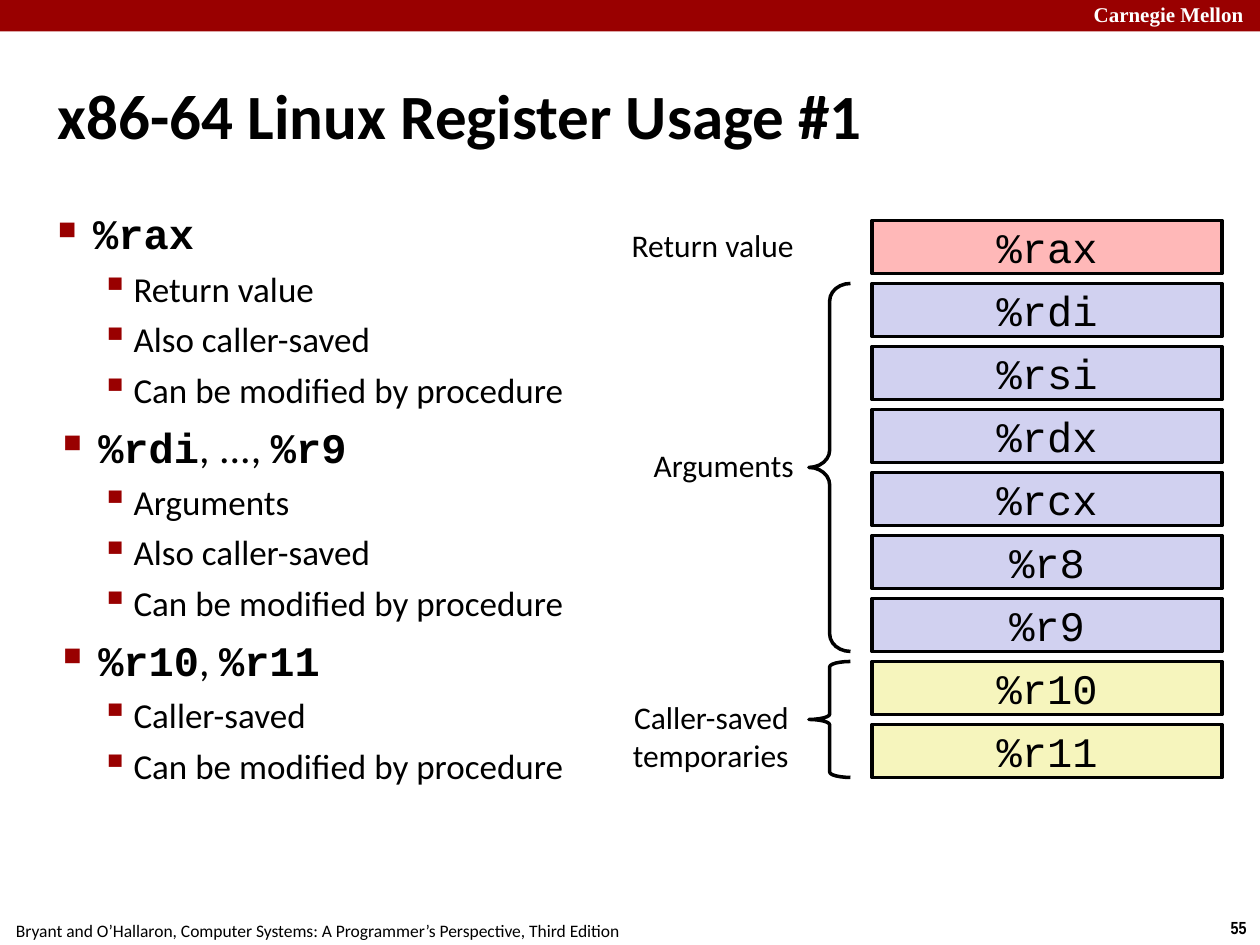
from typing import NamedTuple

import pptx
import pptx.dml.color
import pptx.enum.shapes
import pptx.enum.text
import pptx.oxml
import pptx.oxml.ns
import pptx.util

Inches, Pt = pptx.util.Inches, pptx.util.Pt
Align, Anchor = pptx.enum.text.PP_ALIGN, pptx.enum.text.MSO_ANCHOR
Size, Kind = pptx.enum.text.MSO_AUTO_SIZE, pptx.enum.shapes.MSO_SHAPE

HUES = {
    "black": "000000", "white": "FFFFFF", "red": "990000",
    "return": "FFB8B8", "args": "D1D1F0", "temps": "F6F5BD",
}
SANS, MONO = "Calibri", "Courier New"
TOP, STEP, TALL = 1.75, 0.5, 0.42


class Label(NamedTuple):
    text: str
    box: tuple
    size: int = 18
    face: str = SANS
    hue: str = "black"
    bold: bool = False
    align: Align = Align.RIGHT
    inset: tuple = (0.04, 0.04)
    wrap: bool = False


class Brace(NamedTuple):
    first: int
    last: int
    bend: float


class Level(NamedTuple):
    left: float
    hang: float
    space: int
    size: int
    mark: str
    scale: int


class Topic(NamedTuple):
    names: list
    points: list
    level: Level


POINT = Level(0.6, 0.26, 5, 20, "▪", 110)
HEAD = Level(0.32, 0.28, 6, 24, "■", 60)

TOPICS = [
    Topic(["%rax"],
          ["Return value", "Also caller-saved", "Can be modified by procedure"],
          HEAD._replace(left=0.28, space=0)),
    Topic(["%rdi", ", ..., ", "%r9"],
          ["Arguments", "Also caller-saved", "Can be modified by procedure"], HEAD),
    Topic(["%r10", ", ", "%r11"],
          ["Caller-saved", "Can be modified by procedure"], HEAD),
]
GROUPS = {
    "return": ["%rax"],
    "args": ["%rdi", "%rsi", "%rdx", "%rcx", "%r8", "%r9"],
    "temps": ["%r10", "%r11"],
}
BRACES = [Brace(1, 6, 0.42), Brace(7, 8, 0.13)]
FRAME = [
    Label("55", (9.66, 7.23, 0.34, 0.27), 10, "Arial Narrow", bold=True,
          align=Align.CENTER, inset=(0.1, 0.05)),
    Label("Bryant and O’Hallaron, Computer Systems: A Programmer’s Perspective, "
          "Third Edition", (-0.02, 7.25, 5.08, 0.27), 10,
          align=Align.CENTER, inset=(0.1, 0.05)),
    Label("Carnegie Mellon", (8.64, -0.03, 1.44, 0.28), 12, "Times New Roman",
          "white", True, Align.LEFT, wrap=True),
]
NOTES = [
    Label("Return value", (4.95, 1.75, 1.39, 0.39)),
    Label("Arguments", (5.13, 3.5, 1.21, 0.39)),
    Label("Caller-saved\ntemporaries", (4.91, 5.5, 1.39, 0.69)),
]


def color(name: str):
    return pptx.dml.color.RGBColor.from_string(HUES[name])


def style(run, size: int, face: str = SANS, hue: str = "black", bold: bool = False):
    run.font.size, run.font.name, run.font.bold = Pt(size), face, bold
    run.font.color.rgb = color(hue)


def pad(frame, side: float, top: float):
    frame.margin_left = frame.margin_right = Inches(side)
    frame.margin_top = frame.margin_bottom = Inches(top)


def add_label(slide, label: Label):
    frame = slide.shapes.add_textbox(*map(Inches, label.box)).text_frame
    frame.text = label.text
    frame.word_wrap = label.wrap
    pad(frame, *label.inset)
    for para in frame.paragraphs:
        para.alignment = label.align
        style(para.runs[0], label.size, label.face, label.hue, label.bold)


def add_shape(slide, kind: Kind, box: tuple, fill: str = "", line: bool = True):
    shape = slide.shapes.add_shape(kind, *map(Inches, box))
    shape.shadow.inherit = False
    if fill:
        shape.fill.solid()
        shape.fill.fore_color.rgb = color(fill)
    else:
        shape.fill.background()
    if line:
        shape.line.color.rgb = color("black")
        shape.line.width = Pt(2)
    else:
        shape.line.fill.background()
    return shape


def add_cell(slide, row: int, name: str, fill: str):
    box = (6.92, TOP + row * STEP, 2.78, TALL)
    frame = add_shape(slide, Kind.RECTANGLE, box, fill).text_frame
    frame.text = name
    frame.vertical_anchor = Anchor.MIDDLE
    pad(frame, 0, 0)
    frame.paragraphs[0].alignment = Align.CENTER
    style(frame.paragraphs[0].runs[0], 24, MONO)


def add_brace(slide, brace: Brace):
    tall = (brace.last - brace.first) * STEP + TALL
    box = (6.42, TOP + brace.first * STEP, 0.33, tall)
    add_shape(slide, Kind.LEFT_BRACE, box).adjustments[0] = brace.bend


def set_bullet(para, level: Level):
    props = para._p.get_or_add_pPr()
    props.set("marL", str(Inches(level.left)))
    props.set("indent", str(-Inches(level.hang)))
    space = pptx.oxml.ns.nsdecls("a")
    for tag in (f'<a:buClr {space}><a:srgbClr val="{HUES["red"]}"/></a:buClr>',
                f'<a:buSzPct {space} val="{level.scale * 1000}"/>',
                f'<a:buChar {space} char="{level.mark}"/>'):
        props.append(pptx.oxml.parse_xml(tag))
    para.space_before = Pt(level.space)


def add_topics(slide):
    box = map(Inches, (0.42, 1.53, 4.44, 5.94))
    frame = slide.shapes.add_textbox(*box).text_frame
    frame.word_wrap = True
    pad(frame, 0.04, 0.04)
    frame.margin_top = Inches(0.12)
    for topic in TOPICS:
        first = topic is TOPICS[0]
        para = frame.paragraphs[0] if first else frame.add_paragraph()
        set_bullet(para, topic.level)
        for name in topic.names:
            run = para.add_run()
            run.text = name
            code = name.startswith("%")
            style(run, topic.level.size, MONO if code else SANS, bold=code)
        for point in topic.points:
            para = frame.add_paragraph()
            para.text = point
            para.level = 1
            set_bullet(para, POINT)
            style(para.runs[0], POINT.size)


def set_title(slide, text: str):
    title = slide.shapes.title
    title.left, title.top, title.width, title.height = map(
        Inches, (0.42, 0.28, 7.08, 1.25))
    frame = title.text_frame
    frame.text = text
    frame.auto_size = Size.NONE
    frame.vertical_anchor = Anchor.MIDDLE
    pad(frame, 0.04, 0.04)
    frame.paragraphs[0].alignment = Align.LEFT
    style(frame.paragraphs[0].runs[0], 36, bold=True)


def main():
    deck = pptx.Presentation()
    deck.slide_width, deck.slide_height = Inches(10), Inches(7.5)
    slide = deck.slides.add_slide(deck.slide_layouts[5])
    add_shape(slide, Kind.RECTANGLE, (0, 0, 10, 0.25), "red", line=False)
    set_title(slide, "x86-64 Linux Register Usage #1")
    add_topics(slide)
    cells = [(name, fill) for fill, names in GROUPS.items() for name in names]
    for row, (name, fill) in enumerate(cells):
        add_cell(slide, row, name, fill)
    for brace in BRACES:
        add_brace(slide, brace)
    for label in FRAME + NOTES:
        add_label(slide, label)
    deck.save("out.pptx")


if __name__ == "__main__":
    main()
